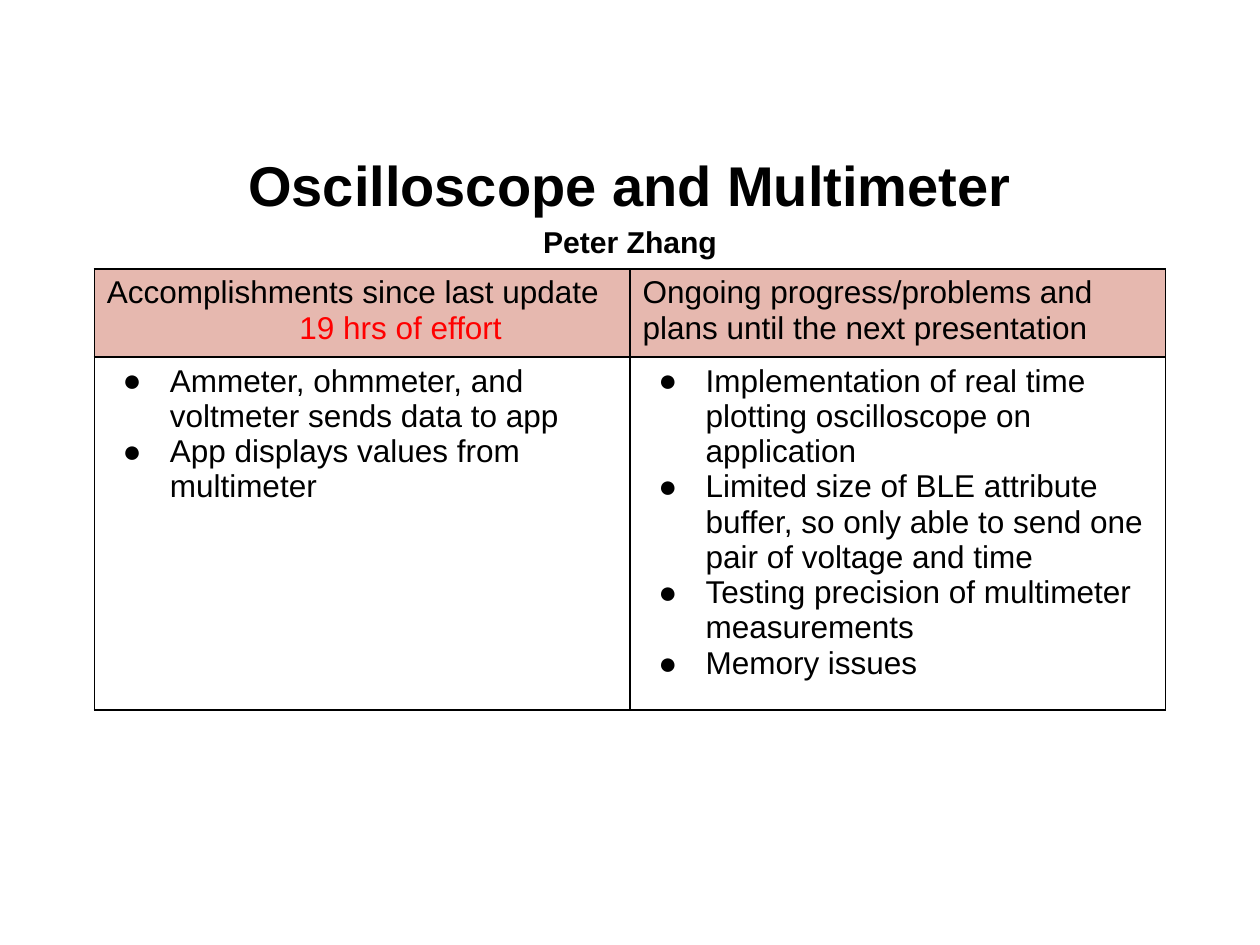
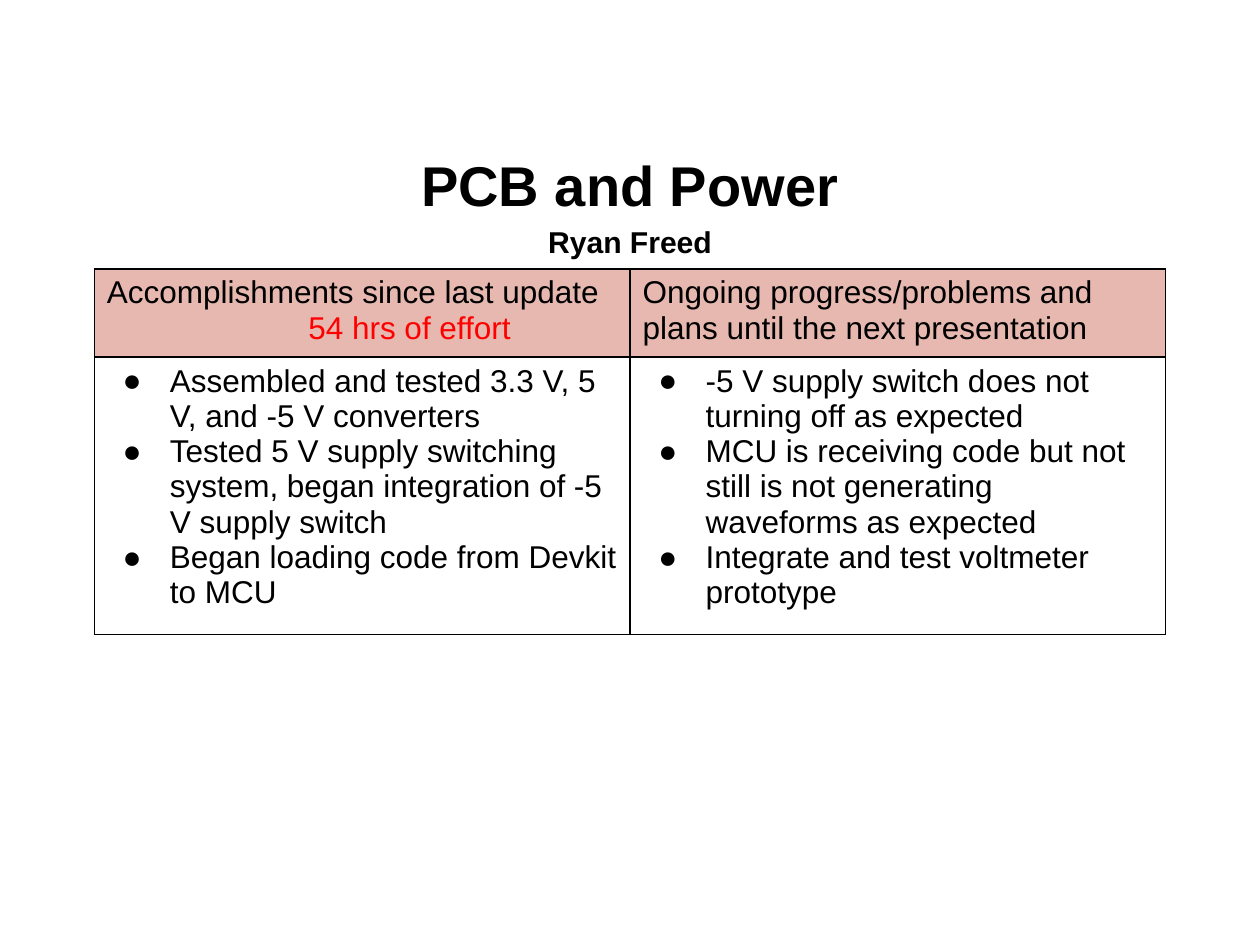
import lxml.etree
import pptx
import pptx.dml.color
import pptx.enum.text
import pptx.oxml.ns
import pptx.util
from pptx.util import Cm


def colour(value):
    return pptx.dml.color.RGBColor.from_string(value)


def add_element(parent, tag, **attributes):
    return lxml.etree.SubElement(parent, pptx.oxml.ns.qn(tag), attributes)


class StatusDeck:
    FONT = "Arial"
    INK = "000000"
    EFFORT = "FF0000"
    HEADER = "E6B8AF"
    BODY_SIZE = 18

    def __init__(self):
        self.presentation = pptx.Presentation()
        self.presentation.slide_width = Cm(25.4)
        self.presentation.slide_height = Cm(19.05)
        self.slide = None

    def add_slide(self):
        layout = self.presentation.slide_layouts[6]
        self.slide = self.presentation.slides.add_slide(layout)

    def set_font(self, paragraph, size, ink=INK, bold=False):
        font = paragraph.font
        font.name = self.FONT
        font.size = pptx.util.Pt(size)
        font.bold = bold
        font.color.rgb = colour(ink)

    def add_title(self, topic, presenter):
        shape = self.slide.shapes.add_textbox(Cm(1.27), Cm(2.91), Cm(22.86), Cm(2.24))
        frame = shape.text_frame
        frame.word_wrap = True
        frame.vertical_anchor = pptx.enum.text.MSO_ANCHOR.MIDDLE
        frame.text = f"{topic}\n{presenter}"
        for paragraph, size in zip(frame.paragraphs, (32, 17.2)):
            paragraph.alignment = pptx.enum.text.PP_ALIGN.CENTER
            paragraph.line_spacing = 1.15
            self.set_font(paragraph, size, bold=True)

    def indent(self, paragraph, left, first=0):
        properties = paragraph._p.get_or_add_pPr()
        properties.set("marL", str(Cm(left)))
        properties.set("indent", str(Cm(first)))
        return properties

    def add_bullet(self, paragraph):
        properties = self.indent(paragraph, 1.27, -0.95)
        add_element(add_element(properties, "a:buClr"), "a:srgbClr", val=self.INK)
        add_element(properties, "a:buFont", typeface=self.FONT)
        add_element(properties, "a:buChar", char="●")

    def add_borders(self, cell):
        properties = cell._tc.get_or_add_tcPr()
        for side in "LRTB":
            line = add_element(properties, f"a:ln{side}", w=str(pptx.util.Pt(1)))
            add_element(add_element(line, "a:solidFill"), "a:srgbClr", val=self.INK)

    def fill_cell(self, cell, lines, fill=None, bulleted=False):
        self.add_borders(cell)
        if fill:
            cell.fill.solid()
            cell.fill.fore_color.rgb = colour(fill)
        else:
            cell.fill.background()
        cell.text = "\n".join(lines)
        for paragraph in cell.text_frame.paragraphs:
            if bulleted:
                self.add_bullet(paragraph)
            self.set_font(paragraph, self.BODY_SIZE)

    def add_status_table(self, hours, effort_indent, accomplishments, plans):
        frame = self.slide.shapes.add_table(2, 2, Cm(1.9), Cm(5.42), Cm(21.6), Cm(8.33))
        table = frame.table
        table.first_row = False
        table.horz_banding = False
        for row, height in zip(table.rows, (1.78, 4.83)):
            row.height = Cm(height)
        frame.height = Cm(8.33)
        headings = (
            ["Accomplishments since last update", f"{hours} hrs of effort"],
            ["Ongoing progress/problems and plans until the next presentation"],
        )
        for column, (heading, items) in enumerate(zip(headings, (accomplishments, plans))):
            self.fill_cell(table.cell(0, column), heading, fill=self.HEADER)
            self.fill_cell(table.cell(1, column), items, bulleted=True)
        effort = table.cell(0, 0).text_frame.paragraphs[1]
        self.indent(effort, effort_indent)
        self.set_font(effort, self.BODY_SIZE, self.EFFORT)

    def add_status(self, topic, presenter, **status):
        self.add_slide()
        self.add_title(topic, presenter)
        self.add_status_table(**status)


def main():
    deck = StatusDeck()
    deck.add_status(
        "Oscilloscope and Multimeter",
        "Peter Zhang",
        hours=19,
        effort_indent=3.88,
        accomplishments=[
            "Ammeter, ohmmeter, and voltmeter sends data to app",
            "App displays values from multimeter",
        ],
        plans=[
            "Implementation of real time plotting oscilloscope on application",
            "Limited size of BLE attribute buffer, so only able to send one pair of voltage and time",
            "Testing precision of multimeter measurements",
            "Memory issues",
        ],
    )
    deck.add_status(
        "PCB and Power",
        "Ryan Freed",
        hours=54,
        effort_indent=4.06,
        accomplishments=[
            "Assembled and tested 3.3 V, 5 V, and -5 V converters",
            "Tested 5 V supply switching system, began integration of -5 V supply switch",
            "Began loading code from Devkit to MCU",
        ],
        plans=[
            "-5 V supply switch does not turning off as expected",
            "MCU is receiving code but not still is not generating waveforms as expected",
            "Integrate and test voltmeter prototype",
        ],
    )
    deck.presentation.save("out.pptx")


if __name__ == "__main__":
    main()
